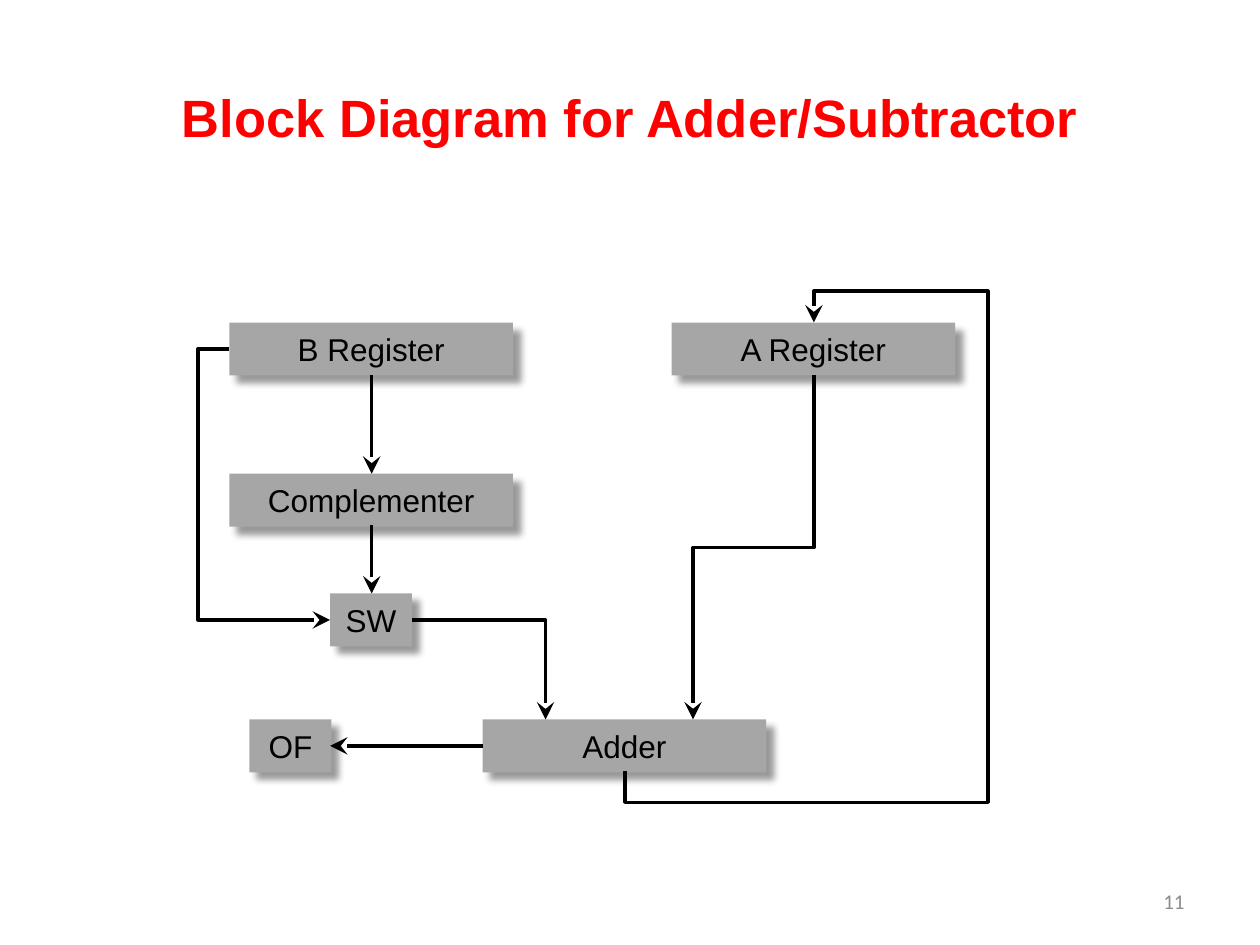
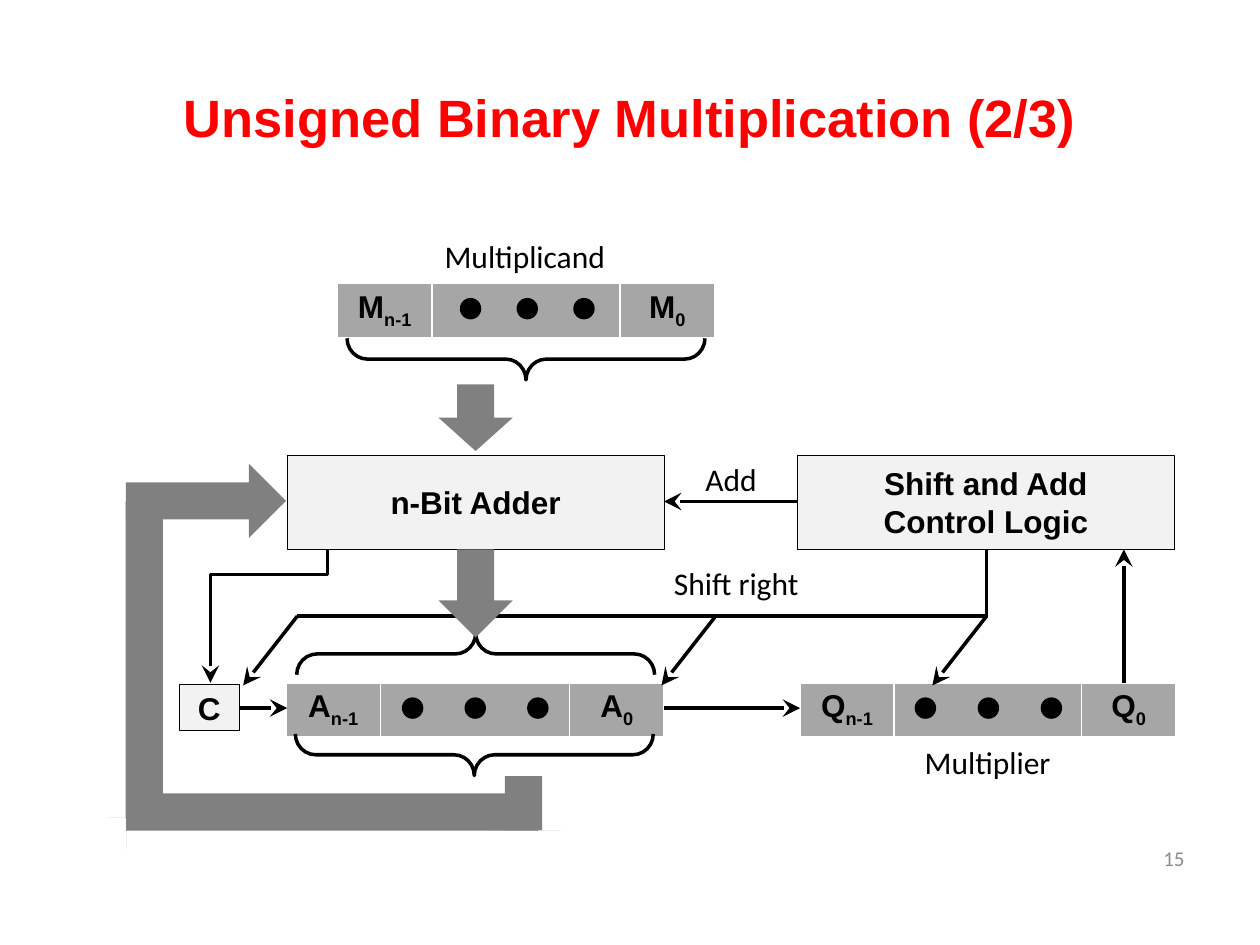
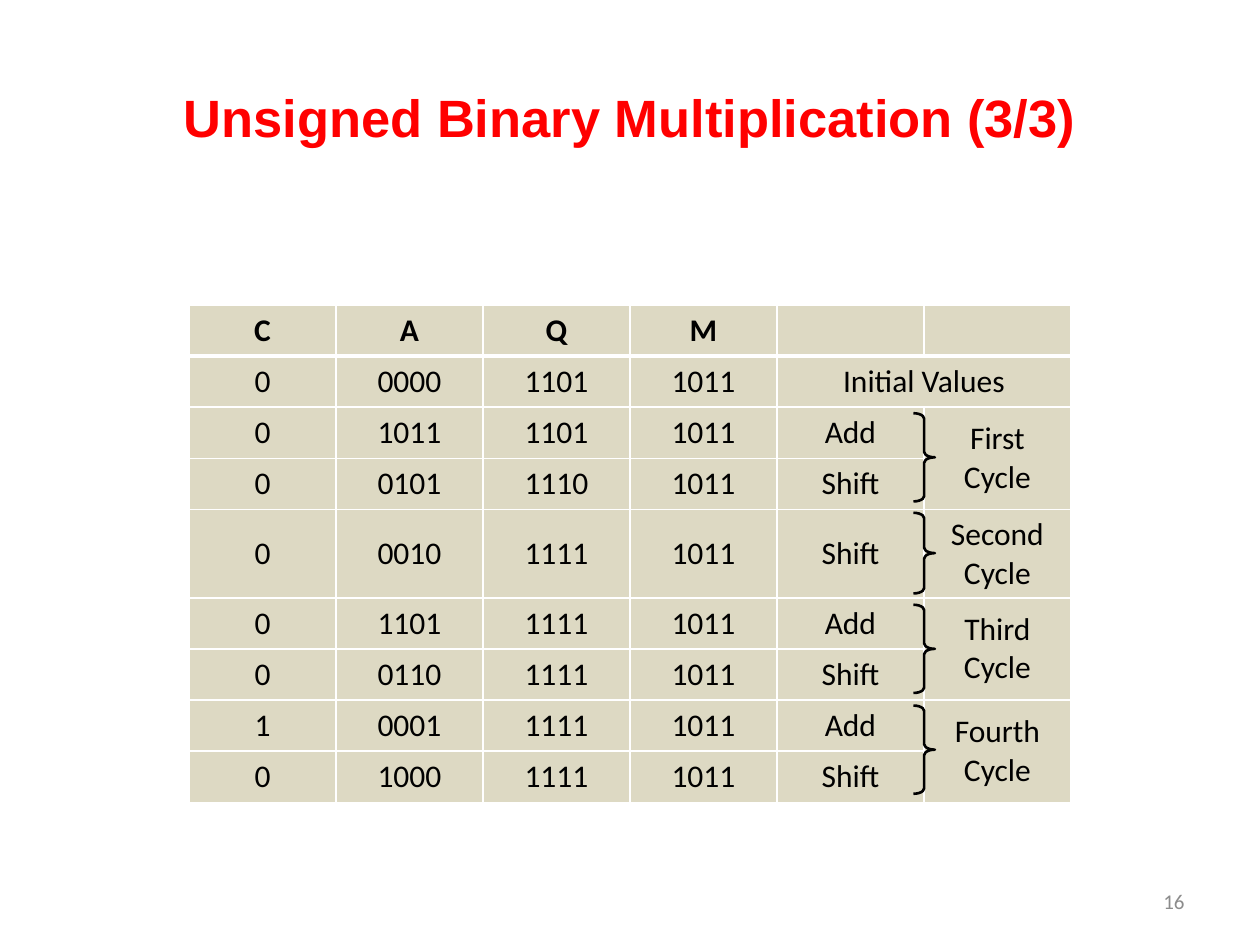
import pptx
import pptx.dml.color
import pptx.enum.shapes
import pptx.enum.text
import pptx.oxml
import pptx.oxml.ns
import pptx.util
from lxml import etree

SHAPE = pptx.enum.shapes.MSO_SHAPE
CONNECTOR = pptx.enum.shapes.MSO_CONNECTOR
ALIGN = pptx.enum.text.PP_ALIGN
ANCHOR = pptx.enum.text.MSO_ANCHOR
qn = pptx.oxml.ns.qn

COLUMNS, ROWS = 100, 75
BLACK, WHITE, RED = "000000", "FFFFFF", "FF0000"
BLOCK_GREY, ARROW_GREY, PALE_GREY = "A6A6A6", "808080", "F2F2F2"
NUMBER_GREY, SAND = "8C8C8C", "DDD9C3"


def color(hex_text):
    return pptx.dml.color.RGBColor.from_string(hex_text)


def add_xml(parent, tag, **attributes):
    return etree.SubElement(parent, qn(tag), attributes)


def add_color(parent, hex_text):
    return add_xml(parent, "a:srgbClr", val=hex_text)


class DiagramDeck:
    heading_font = "Arial"
    body_font = "Calibri"
    text_size = 18

    def __init__(self):
        self.deck = pptx.Presentation()
        self.deck.slide_width = pptx.util.Inches(10)
        self.deck.slide_height = pptx.util.Inches(7.5)
        self.page = None

    def x(self, columns):
        return round(self.deck.slide_width * columns / COLUMNS)

    def y(self, rows):
        return round(self.deck.slide_height * rows / ROWS)

    def frame(self, left, top, width, height):
        return self.x(left), self.y(top), self.x(width), self.y(height)

    def new_page(self, title, number, number_top=69.5):
        self.page = self.deck.slides.add_slide(self.deck.slide_layouts[5])
        box = self.page.shapes.title
        box.left, box.top, box.width, box.height = self.frame(5, 3, 90, 12.5)
        box.text_frame.vertical_anchor = ANCHOR.MIDDLE
        self.add_text(box.text_frame, [title], self.heading_font, 30, RED, True)
        box = self.page.shapes.add_textbox(*self.frame(71.7, number_top, 23.3, 4))
        box.text_frame.word_wrap = True
        box.text_frame.vertical_anchor = ANCHOR.MIDDLE
        self.add_text(box.text_frame, [number], self.body_font, 12, NUMBER_GREY,
                      align=ALIGN.RIGHT)

    def add_text(self, text_frame, lines, font, size=text_size, ink=BLACK,
                 bold=False, align=ALIGN.CENTER, subscript=""):
        for index, line in enumerate(lines):
            para = text_frame.add_paragraph() if index else text_frame.paragraphs[0]
            para.alignment = align
            for text in filter(None, (line, subscript)):
                span = para.add_run()
                span.text = text
                span.font.name = font
                span.font.size = pptx.util.Pt(size)
                span.font.bold = bold
                span.font.color.rgb = color(ink)
            if subscript:
                span.font._element.set("baseline", "-25000")

    def label(self, text, left, top, width):
        box = self.page.shapes.add_textbox(*self.frame(left, top, width, 4))
        box.text_frame.word_wrap = False
        box.text_frame.auto_size = pptx.enum.text.MSO_AUTO_SIZE.SHAPE_TO_FIT_TEXT
        self.add_text(box.text_frame, [text], self.body_font, align=ALIGN.LEFT)

    def shape(self, kind, frame, fill=None, line=None, rotation=0, adjust=()):
        shape = self.page.shapes.add_shape(kind, *self.frame(*frame))
        shape.shadow.inherit = False
        shape.rotation = rotation
        for index, value in enumerate(adjust):
            shape.adjustments[index] = value
        if fill:
            shape.fill.solid()
            shape.fill.fore_color.rgb = color(fill)
        else:
            shape.fill.background()
        if line:
            shape.line.color.rgb = color(BLACK)
            shape.line.width = pptx.util.Pt(line)
        else:
            shape.line.fill.background()
        return shape

    def box(self, lines, frame, fill, line=None, bold=False):
        shape = self.shape(SHAPE.RECTANGLE, frame, fill, line)
        shape.text_frame.word_wrap = True
        shape.text_frame.vertical_anchor = ANCHOR.MIDDLE
        self.add_text(shape.text_frame, lines, self.heading_font, bold=bold)
        return shape

    def block(self, text, left, top, width=22.5):
        shape = self.box([text], (left, top, width, 4.2), BLOCK_GREY)
        effects = shape._element.spPr.find(qn("a:effectLst"))
        shadow = add_xml(effects, "a:outerShdw", blurRad=str(pptx.util.Pt(4)),
                         dist=str(pptx.util.Pt(6)), dir=str(46 * 60000),
                         algn="tl", rotWithShape="0")
        add_xml(add_color(shadow, BLACK), "a:alpha", val="40000")

    def panel(self, lines, *frame):
        self.box(lines, frame, PALE_GREY, line=0.25, bold=True)

    def brace(self, kind, frame, line, curl, rotation=0):
        self.shape(kind, frame, None, line, rotation, (curl, 0.5))

    def wide_arrow(self, frame, rotation=0, adjust=()):
        self.shape(SHAPE.DOWN_ARROW, frame, ARROW_GREY, None, rotation, adjust)

    def line(self, start, end, arrow=True, kind=CONNECTOR.STRAIGHT):
        connector = self.page.shapes.add_connector(
            kind, self.x(start[0]), self.y(start[1]), self.x(end[0]), self.y(end[1]))
        connector.line.color.rgb = color(BLACK)
        connector.line.width = pptx.util.Pt(2)
        if arrow:
            add_xml(connector.line._get_or_add_ln(), "a:tailEnd",
                    type="stealth", w="lg", len="lg")
        add_xml(connector._element.spPr, "a:effectLst")
        return connector

    def elbow(self, start, end, bends, adjust=(), vertical=False, arrow=True):
        connector = self.line(start, end, arrow, CONNECTOR.ELBOW)
        properties = connector._element.spPr
        geometry = properties.find(qn("a:prstGeom"))
        geometry.set("prst", f"bentConnector{bends + 1}")
        guides = geometry.find(qn("a:avLst"))
        if guides is None:
            guides = add_xml(geometry, "a:avLst")
        for index, value in enumerate(adjust, 1):
            add_xml(guides, "a:gd", name=f"adj{index}",
                    fmla=f"val {round(value * 100000)}")
        if vertical:
            self.turn(connector, start, end)

    def turn(self, connector, start, end):
        width, height = connector.height, connector.width
        center_x = connector.left + connector.width // 2
        center_y = connector.top + connector.height // 2
        connector.left, connector.top = center_x - width // 2, center_y - height // 2
        connector.width, connector.height = width, height
        transform = connector._element.spPr.find(qn("a:xfrm"))
        transform.set("rot", str(90 * 60000))
        transform.set("flipH", str(int(end[1] < start[1])))
        transform.set("flipV", str(int(end[0] > start[0])))

    def table(self, left, top, widths, row_height, row_count):
        frame = self.frame(left, top, sum(widths), row_height * row_count)
        table = self.page.shapes.add_table(row_count, len(widths), *frame).table
        table.first_row = table.horz_banding = False
        for column, width in zip(table.columns, widths):
            column.width = self.x(width)
        for row in table.rows:
            row.height = self.y(row_height)
        return table

    def cell(self, cell, fill, text="", bottom=1, top=1, **style):
        properties = cell._tc.get_or_add_tcPr()
        for side, width in (("L", 1), ("R", 1), ("T", top), ("B", bottom)):
            border = add_xml(properties, f"a:ln{side}", w=str(pptx.util.Pt(width)))
            add_color(add_xml(border, "a:solidFill"), WHITE)
        cell.fill.solid()
        cell.fill.fore_color.rgb = color(fill)
        if text:
            self.add_text(cell.text_frame, [text], **style)

    def bit_register(self, letter, left, top, width, first_dot, pitch):
        table = self.table(left, top, (width / 4, width / 2, width / 4), 4.1, 1)
        fields = ((letter, "n-1"), ("", ""), (letter, "0"))
        for cell, (text, subscript) in zip(table.rows[0].cells, fields):
            self.cell(cell, BLOCK_GREY, text, bottom=3, font=self.heading_font,
                      bold=True, subscript=subscript)
        dots = [self.shape(SHAPE.FLOWCHART_CONNECTOR,
                           (first_dot + pitch * index, top + 1.15, 1.7, 1.7), BLACK)
                for index in range(3)]
        self.page.shapes.add_group_shape(shapes=dots)


def adder_page(style):
    style.new_page("Block Diagram for Adder/Subtractor", "11")
    style.block("B Register", 18.2, 25.6)
    style.block("A Register", 53.3, 25.6)
    style.block("Complementer", 18.2, 37.6)
    style.block("Adder", 38.3, 57.1)
    style.block("SW", 26.2, 47.1, 6.5)
    style.block("OF", 19.8, 57.1, 6.5)
    style.line((29.5, 29.8), (29.5, 37.6))
    style.line((29.5, 41.7), (29.5, 47.1))
    style.line((38.3, 59.2), (26.2, 59.2))
    style.elbow((64.6, 29.8), (55, 57.1), 2, (0.5,), vertical=True)
    style.elbow((32.7, 49.2), (43.3, 57.1), 2, (1,))
    style.elbow((18.2, 27.7), (26.2, 49.2), 2, (-0.31,))
    style.elbow((49.6, 61.2), (64.6, 25.6), 4, (-0.07, 1.92, 1.07), vertical=True)


def multiplier_page(style):
    style.new_page("Unsigned Binary Multiplication (2/3)", "15", 66.1)
    style.panel(["n-Bit Adder"], 22.8, 36.1, 29.9, 7.5)
    style.bit_register("M", 26.8, 22.5, 29.9, 36.5, 4.5)
    style.panel(["Shift and Add", "Control Logic"], 63.3, 36.1, 29.9, 7.5)
    style.bit_register("A", 22.7, 54.2, 30, 31.9, 4.97)
    style.bit_register("Q", 63.5, 54.2, 29.8, 72.6, 5)
    style.panel(["C"], 14.2, 54.3, 4.8, 3.7)

    style.elbow((26, 43.6), (16.7, 54.2), 2, (0.19,), vertical=True)
    for start, end in (((19, 56.2), (22.8, 56.2)), ((52.7, 56.2), (63.5, 56.2)),
                       ((89.2, 54.2), (89.2, 43.6)), ((63.3, 39.8), (52.7, 39.8))):
        style.line(start, end)

    def register_brace(left, top, rotation):
        style.brace(SHAPE.LEFT_BRACE, (left, top, 3.3, 28.4), 2, 0.49, rotation)

    register_brace(40.1, 14.3, 270)
    style.wide_arrow((34.8, 30.5, 5.9, 5.3))
    register_brace(36.1, 37.7, 90)

    shift_row = 48.9
    style.elbow((78.3, 43.6), (23.6, shift_row), 1, vertical=True, arrow=False)
    for branch in (78.3, 56.8, 23.6):
        style.line((branch, shift_row), (branch - 4.3, 54.4))

    flat = (0.5, 0)
    style.wide_arrow((38.6, 61.6, 5.9, 4.3), adjust=flat)
    style.wide_arrow((23.4, 48.1, 5.9, 32.7), 90, flat)
    style.wide_arrow((8.5, 39.8, 5.9, 25.1), adjust=flat)
    style.wide_arrow((13.4, 33.4, 5.9, 12.7), 270)
    register_brace(36, 45.7, 270)
    style.wide_arrow((34.8, 43.6, 5.9, 7))

    style.label("Multiplier", 72.4, 58.5, 12.1)
    style.label("Multiplicand", 34.3, 18.3, 14.9)
    style.label("Add", 55, 36, 6.1)
    style.label("Shift right", 52.5, 44.3, 12.1)


def cycles_page(style):
    style.new_page("Unsigned Binary Multiplication (3/3)", "16")
    rows = [
        ("C", "A", "Q", "M", "", ""),
        ("0", "0000", "1101", "1011", "Initial Values", ""),
        ("0", "1011", "1101", "1011", "Add", "First Cycle"),
        ("0", "0101", "1110", "1011", "Shift", ""),
        ("0", "0010", "1111", "1011", "Shift", "Second Cycle"),
        ("0", "1101", "1111", "1011", "Add", "Third Cycle"),
        ("0", "0110", "1111", "1011", "Shift", ""),
        ("1", "0001", "1111", "1011", "Add", "Fourth Cycle"),
        ("0", "1000", "1111", "1011", "Shift", ""),
    ]
    table = style.table(15, 24.2, [70 / 6] * 6, 4.06, len(rows))
    for row_index, values in enumerate(rows):
        header = row_index == 0
        for column_index, text in enumerate(values):
            cell = table.cell(row_index, column_index)
            cell.vertical_anchor = ANCHOR.MIDDLE
            style.cell(cell, SAND, text, bottom=3 if header else 1,
                       top=3 if row_index == 1 else 1,
                       font=style.body_font, bold=header)
    table.cell(1, 4).merge(table.cell(1, 5))
    for row_index in (2, 5, 7):
        table.cell(row_index, 5).merge(table.cell(row_index + 1, 5))
    for top, height in ((32.8, 7), (40.7, 6.4), (48, 7), (56, 7)):
        style.brace(SHAPE.RIGHT_BRACE, (72.5, top, 1.7, height), 1.5, 0.25)


def main():
    style = DiagramDeck()
    adder_page(style)
    multiplier_page(style)
    cycles_page(style)
    style.deck.save("out.pptx")


if __name__ == "__main__":
    main()
